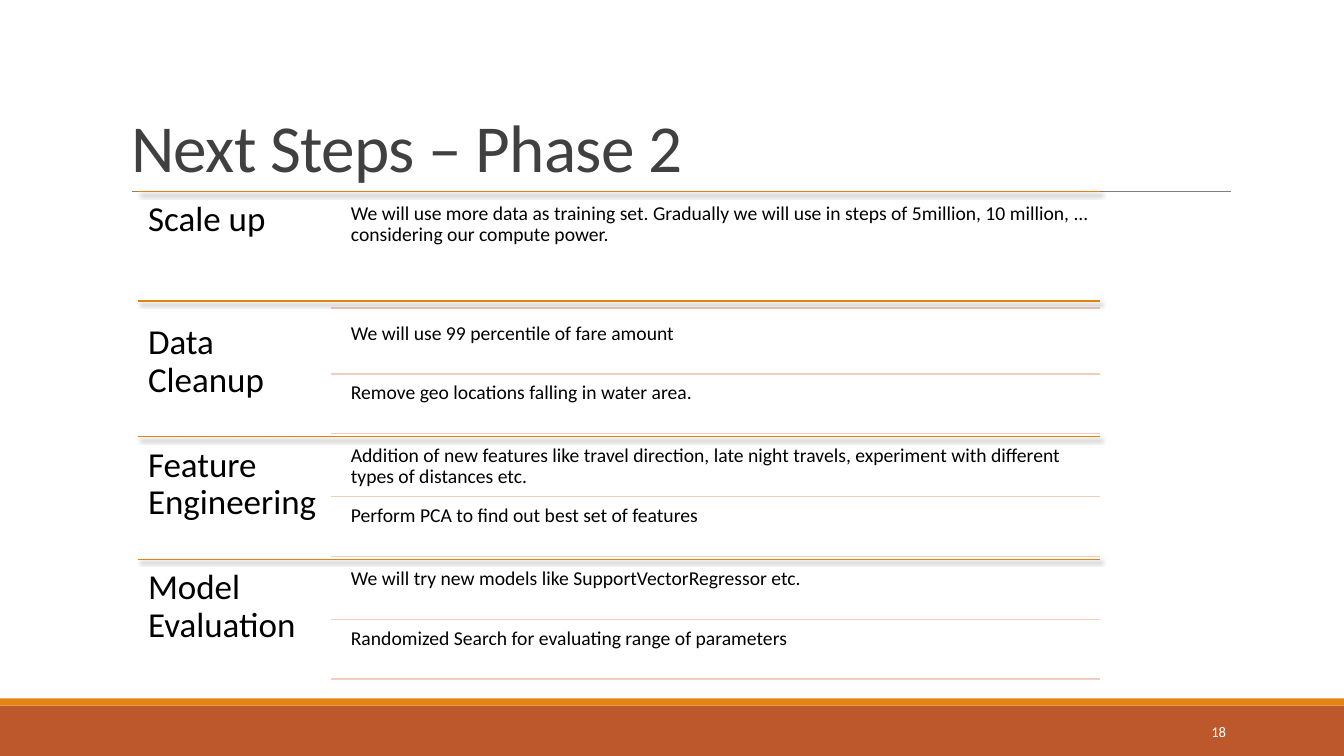
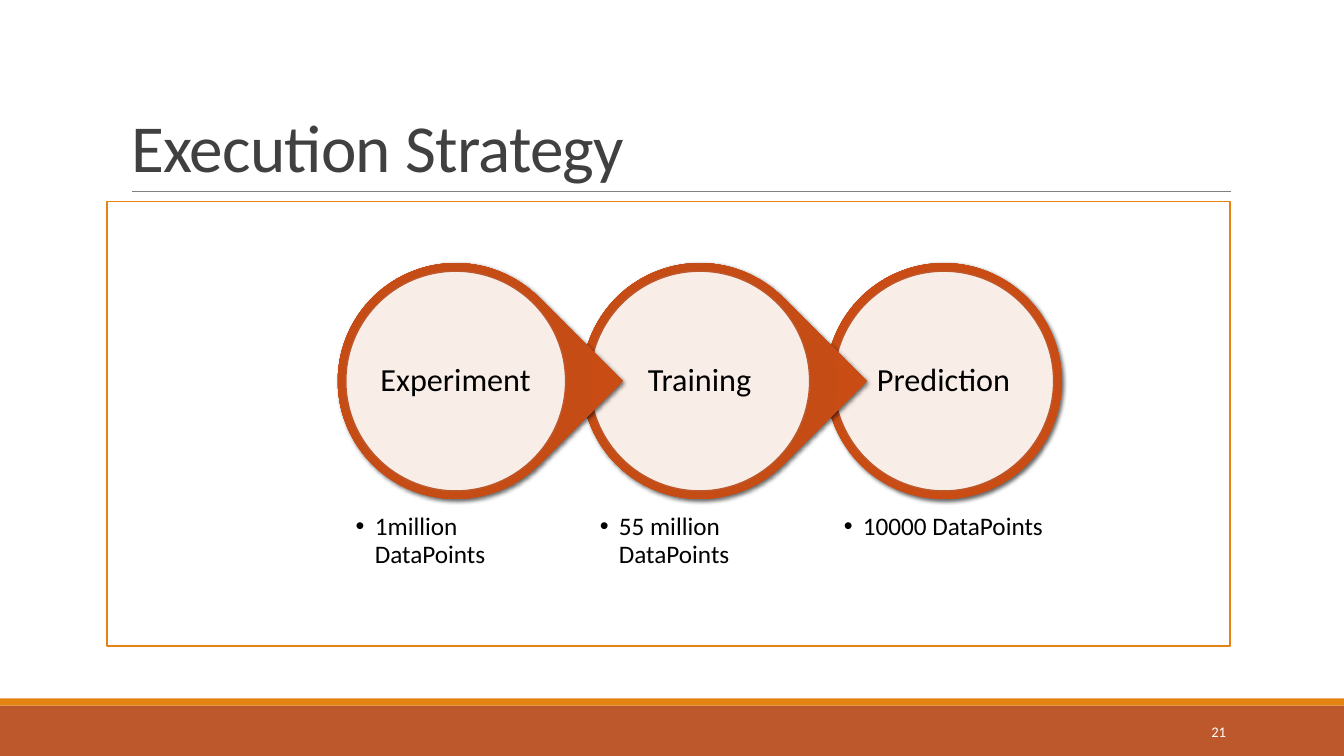
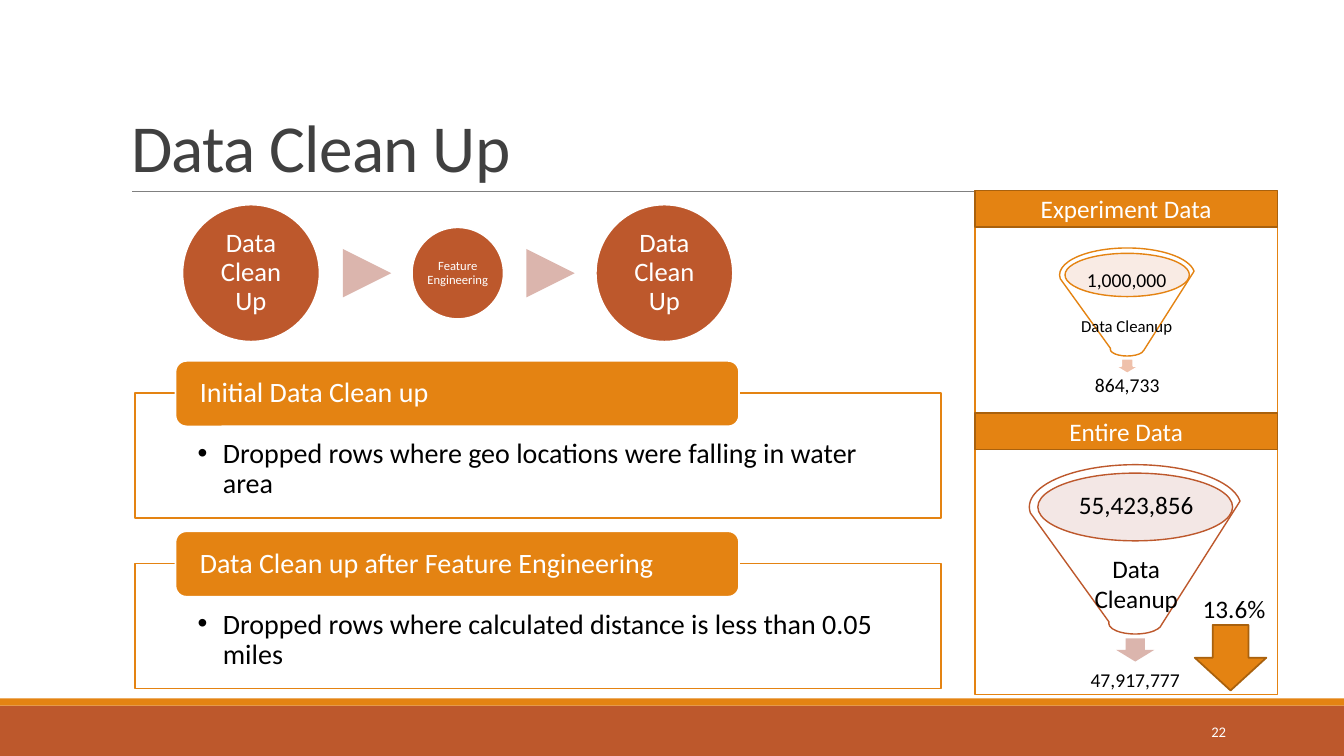
"""Build three slides on next steps, execution strategy and data clean up."""
from dataclasses import dataclass
from typing import NamedTuple, Optional

from lxml import etree
from pptx import Presentation
from pptx.dml.color import RGBColor
from pptx.enum import shapes, text
from pptx.oxml import ns
from pptx.slide import Slide
from pptx.util import Inches, Pt

GEO = shapes.MSO_SHAPE
ALIGN = text.PP_ALIGN
ANCHOR = text.MSO_ANCHOR


@dataclass(frozen=True)
class Theme:
    font: str = "Calibri"
    rust: str = "BD582C"
    orange: str = "E48312"
    edge: str = "A9610D"
    rule: str = "808080"
    heading: str = "404040"
    black: str = "000000"
    white: str = "FFFFFF"
    peach: str = "F2CDBD"
    peach_arrow: str = "EFC1AB"
    rose: str = "E1C4BE"
    rose_arrow: str = "DBB5AD"
    glow: tuple = ((0, "C44A15"), (34, "C34C18"), (70, "C94C15"), (100, "C45525"))
    title: float = 48
    section: float = 25
    step: float = 23
    body: float = 20
    node: float = 19
    label: float = 18
    item: float = 14
    note: float = 12
    number: float = 10.5
    node_small: float = 9


T = Theme()


class Box(NamedTuple):
    x: float
    y: float
    w: float
    h: float


class Line(NamedTuple):
    color: str
    width: float


class Style(NamedTuple):
    size: float
    color: str = T.black
    align: ALIGN = ALIGN.LEFT
    anchor: ANCHOR = ANCHOR.TOP
    inset: tuple = (0.1, 0.05, 0.1, 0.05)
    spacing: float = 1
    bullet: float = 0


class Section(NamedTuple):
    name: str
    items: tuple
    rule_shift: float = 0


class Step(NamedTuple):
    name: str
    amount: str


class Card(NamedTuple):
    heading: str
    detail: str


class Node(NamedTuple):
    name: str
    diameter: float
    style: Style


class Funnel(NamedTuple):
    x: float
    y: float
    w: float
    line: str
    mouth: str
    arrow: str
    arrow_line: Optional[Line]
    labels: tuple
    result: str


def sub(parent, tag: str, **attrs):
    return etree.SubElement(parent, ns.qn(tag), {k: str(v) for k, v in attrs.items()})


def add_effects(sp, blur: float = 0) -> None:
    """Add an effect list, holding a soft shadow when blur is given."""
    pr = sp._element.spPr
    for old in pr.findall(ns.qn("a:effectLst")):
        pr.remove(old)
    effects = sub(pr, "a:effectLst")
    if blur:
        shadow = sub(effects, "a:outerShdw", blurRad=Pt(blur), dist=Pt(2),
                     dir=45 * 60000, algn="ctr", rotWithShape=0)
        sub(sub(shadow, "a:srgbClr", val=T.black), "a:alpha", val=60000)


def add_glow(sp) -> None:
    """Fill a shape with the circular rust gradient."""
    pr = sp._element.spPr
    pr.remove(pr.find(ns.qn("a:solidFill")))
    grad = etree.Element(ns.qn("a:gradFill"), {"rotWithShape": "1"})
    stops = sub(grad, "a:gsLst")
    for pos, color in T.glow:
        sub(sub(stops, "a:gs", pos=pos * 1000), "a:srgbClr", val=color)
    path = sub(grad, "a:path", path="circle")
    sub(path, "a:fillToRect", l=100000, t=100000, r=100000, b=100000)
    pr.find(ns.qn("a:prstGeom")).addnext(grad)


def write(sp, words: str, style: Style):
    """Write one styled paragraph into a shape and return its run."""
    tf = sp.text_frame
    tf.word_wrap = True
    tf.auto_size = text.MSO_AUTO_SIZE.NONE
    tf.vertical_anchor = style.anchor
    tf.margin_left, tf.margin_top, tf.margin_right, tf.margin_bottom = map(Inches, style.inset)
    p = tf.paragraphs[0]
    if style.bullet:
        pr = p._p.get_or_add_pPr()
        pr.set("marL", str(Inches(style.bullet)))
        pr.set("indent", str(-Inches(style.bullet)))
        sub(pr, "a:buFont", typeface="Arial")
        sub(pr, "a:buChar", char="•")
    p.alignment = style.align
    p.line_spacing = style.spacing
    r = p.add_run()
    r.text = words
    r.font.name = T.font
    r.font.size = Pt(style.size)
    r.font.color.rgb = RGBColor.from_string(style.color)
    return r


def add_text(s: Slide, box: Box, words: str, style: Style) -> None:
    write(s.shapes.add_textbox(*map(Inches, box)), words, style)


def add_shape(s: Slide, kind: GEO, box: Box, fill: str, line: Optional[Line] = None,
              opacity: int = 100, rotation: float = 0):
    sp = s.shapes.add_shape(kind, *map(Inches, box))
    sp.shadow.inherit = False
    sp.rotation = rotation
    sp.fill.solid()
    sp.fill.fore_color.rgb = RGBColor.from_string(fill)
    if opacity < 100:
        color = sp._element.spPr.find(ns.qn("a:solidFill"))[0]
        sub(color, "a:alpha", val=opacity * 1000)
    if line:
        sp.line.color.rgb = RGBColor.from_string(line.color)
        sp.line.width = Pt(line.width)
    else:
        sp.line.fill.background()
    return sp


def add_rule(s: Slide, left: float, right: float, y: float, line: Line, blur: float = 0) -> None:
    c = s.shapes.add_connector(shapes.MSO_CONNECTOR.STRAIGHT,
                               Inches(left), Inches(y), Inches(right), Inches(y))
    c.line.color.rgb = RGBColor.from_string(line.color)
    c.line.width = Pt(line.width)
    add_effects(c, blur)


def centred(x: float, y: float, size: float) -> Box:
    return Box(x - size / 2, y - size / 2, size, size)


def new_slide(prs, title: str, number: int) -> Slide:
    """Add a slide with the shared bands, title rule, title and number."""
    s = prs.slides.add_slide(prs.slide_layouts[5])
    add_shape(s, GEO.RECTANGLE, Box(0, 7, 13.33, 0.5), T.rust)
    add_shape(s, GEO.RECTANGLE, Box(0, 6.93, 13.33, 0.07), T.orange)
    add_rule(s, 1.31, 12.21, 1.9, Line(T.rule, 0.5))
    sp = s.shapes.title
    sp.left, sp.top, sp.width, sp.height = map(Inches, Box(1.2, 0.31, 11, 1.59))
    r = write(sp, title, Style(T.title, T.heading, anchor=ANCHOR.BOTTOM, spacing=0.85))
    r._r.get_or_add_rPr().set("spc", "-50")
    add_text(s, Box(10.83, 7.06, 1.43, 0.4), str(number),
             Style(T.number, T.white, ALIGN.RIGHT, ANCHOR.MIDDLE))
    return s


SECTIONS = (
    Section("Scale up", (
        "We will use more data as training set. Gradually we will use in steps of "
        "5million, 10 million, ... considering our compute power.",)),
    Section("Data Cleanup", (
        "We will use 99 percentile of fare amount",
        "Remove geo locations falling in water area."), -0.13),
    Section("Feature Engineering", (
        "Addition of new features like travel direction, late night travels, "
        "experiment with different types of distances etc.",
        "Perform PCA to find out best set of features")),
    Section("Model Evaluation", (
        "We will try new models like SupportVectorRegressor etc.",
        "Randomized Search for evaluating range of parameters")),
)


def next_steps(prs) -> None:
    s = new_slide(prs, "Next Steps – Phase 2", 18)
    left, column, right = 1.37, 3.28, 10.91
    pitch = 3.65 / 3
    name_style = Style(T.section, inset=(0.1,) * 4, spacing=0.9)
    item_style = Style(T.item, inset=(0.06,) * 4, spacing=0.9)
    for i, section in enumerate(SECTIONS):
        top = 1.9 + i * pitch
        add_rule(s, left, right, top + section.rule_shift, Line(T.orange, 1), blur=3.5)
        add_text(s, Box(left, top, column - left, pitch), section.name, name_style)
        count = len(section.items)
        gap = 0.06 / count
        height = (pitch - gap * (count + 1)) / count
        for j, item in enumerate(section.items):
            y = top + gap + j * (height + gap)
            add_text(s, Box(3.42, y, 7.49, height), item, item_style)
            add_rule(s, column, right, y + height, Line(T.peach, 1))


STEPS = (
    Step("Experiment", "1million DataPoints"),
    Step("Training", "55 million DataPoints"),
    Step("Prediction", "10000 DataPoints"),
)


def execution_strategy(prs) -> None:
    s = new_slide(prs, "Execution Strategy", 21)
    add_shape(s, GEO.RECTANGLE, Box(1.06, 2, 11.14, 4.41), T.white, Line(T.orange, 1.25))
    name_style = Style(T.step, align=ALIGN.CENTER, anchor=ANCHOR.MIDDLE,
                       inset=(0,) * 4, spacing=0.9)
    amount_style = Style(T.label, inset=(0.1,) * 4, spacing=0.9, bullet=0.19)
    last = len(STEPS) - 1
    for i, step in reversed(list(enumerate(STEPS))):
        x, y = 4.52 + 2.42 * i, 3.78
        kind, turn = (GEO.OVAL, 0) if i == last else (GEO.TEAR, 45)
        ring = add_shape(s, kind, centred(x, y, 2.34), T.rust, rotation=turn)
        add_glow(ring)
        add_effects(ring, blur=3)
        add_shape(s, GEO.OVAL, centred(x, y, 2.18), T.white, Line(T.rust, 1), 90)
        add_text(s, centred(x, y, 1.7), step.name, name_style)
        add_text(s, Box(x - 1.09, 5, 2.18, 1.28), step.amount, amount_style)


CENTRED = Style(T.label, align=ALIGN.CENTER)
FUNNELS = (
    Funnel(10.51, 2.46, 1.34, T.orange, T.peach, T.peach_arrow, Line(T.white, 1.25), (
        (Box(10.61, 2.61, 1.13, 0.34), "1,000,000", CENTRED._replace(size=T.item)),
        (Box(10.61, 3.08, 1.13, 0.3), "Data Cleanup", CENTRED._replace(size=T.note)),
    ), "864,733"),
    Funnel(10.21, 4.61, 2.1, T.rust, T.rose, T.rose_arrow, None, (
        (Box(10.55, 4.81, 1.44, 0.4), "55,423,856", CENTRED),
        (Box(10.55, 5.44, 1.44, 0.71), "Data Cleanup", CENTRED),
    ), "47,917,777"),
)
CARDS = (
    Card("Initial Data Clean up",
         "Dropped rows where geo locations were falling in water area"),
    Card("Data Clean up after Feature Engineering",
         "Dropped rows where calculated distance is less than 0.05 miles"),
)
NODE = Style(T.node, T.white, ALIGN.CENTER, ANCHOR.MIDDLE, (0.03,) * 4, 0.9)
NODES = (
    Node("Data Clean Up", 1.36, NODE),
    Node("Feature Engineering", 0.91, NODE._replace(size=T.node_small, inset=(0.01,) * 4)),
    Node("Data Clean Up", 1.36, NODE),
)


def add_funnel(s: Slide, f: Funnel) -> None:
    """Draw a funnel whose parts all scale with its width."""
    def part(x: float, y: float, w: float, h: float) -> Box:
        return Box(f.x + x * f.w, f.y + y * f.w, w * f.w, h * f.w)

    add_shape(s, GEO.OVAL, part(0.04, 0.04, 0.92, 0.32), f.mouth, opacity=40)
    add_shape(s, GEO.DOWN_ARROW, part(0.41, 0.82, 0.18, 0.11), f.arrow, f.arrow_line)
    add_text(s, part(0.07, 0.92, 0.86, 0.21), f.result,
             Style(T.item, align=ALIGN.CENTER, anchor=ANCHOR.MIDDLE,
                   inset=(0.11,) * 4, spacing=0.9))
    add_shape(s, GEO.FUNNEL, part(0, 0, 1, 0.8), T.white, Line(f.line, 1), 40)
    for box, words, style in f.labels:
        add_text(s, box, words, style)


def add_card(s: Slide, card: Card, top: float) -> None:
    frame = add_shape(s, GEO.RECTANGLE, Box(1.34, top, 7.99, 1.24), T.white,
                      Line(T.orange, 1.25), 90)
    write(frame, card.detail,
          Style(T.body, inset=(0.62, 0.46, 0.62, 0.16), spacing=0.9, bullet=0.25))
    tab = add_shape(s, GEO.ROUNDED_RECTANGLE, Box(1.74, top - 0.32, 5.59, 0.65),
                    T.orange, Line(T.white, 1.25))
    write(tab, card.heading, Style(T.body, T.white, anchor=ANCHOR.MIDDLE,
                                   inset=(0.21, 0, 0.21, 0), spacing=0.9))


def data_clean_up(prs) -> None:
    s = new_slide(prs, "Data Clean Up", 22)
    add_shape(s, GEO.RECTANGLE, Box(9.67, 1.9, 3, 4.99), T.white, Line(T.orange, 1.25))
    for funnel in FUNNELS:
        add_funnel(s, funnel)
    edge = Line(T.edge, 1.25)
    for top, words in ((1.89, "Experiment Data"), (4.1, "Entire Data")):
        header = add_shape(s, GEO.RECTANGLE, Box(9.67, top, 3, 0.36), T.orange, edge)
        write(header, words, CENTRED._replace(color=T.white, anchor=ANCHOR.MIDDLE))
    add_shape(s, GEO.DOWN_ARROW, Box(11.85, 6.2, 0.71, 0.65), T.orange, edge)
    add_text(s, Box(11.83, 5.84, 1, 0.4), "13.6%", Style(T.label))
    for i, card in enumerate(CARDS):
        add_card(s, card, 3.9 + 1.69 * i)
    middle = 2.71
    for i, node in enumerate(NODES):
        disc = add_shape(s, GEO.OVAL, centred(2.49 + 2.05 * i, middle, node.diameter),
                         T.rust, Line(T.white, 1.25))
        write(disc, node.name, node.style)
    for i in range(len(NODES) - 1):
        add_shape(s, GEO.ISOSCELES_TRIANGLE, centred(3.64 + 1.82 * i, middle, 0.48),
                  T.rose_arrow, rotation=90)


def main() -> None:
    prs = Presentation()
    prs.slide_width, prs.slide_height = Inches(13.33), Inches(7.5)
    next_steps(prs)
    execution_strategy(prs)
    data_clean_up(prs)
    prs.save("out.pptx")


if __name__ == "__main__":
    main()
